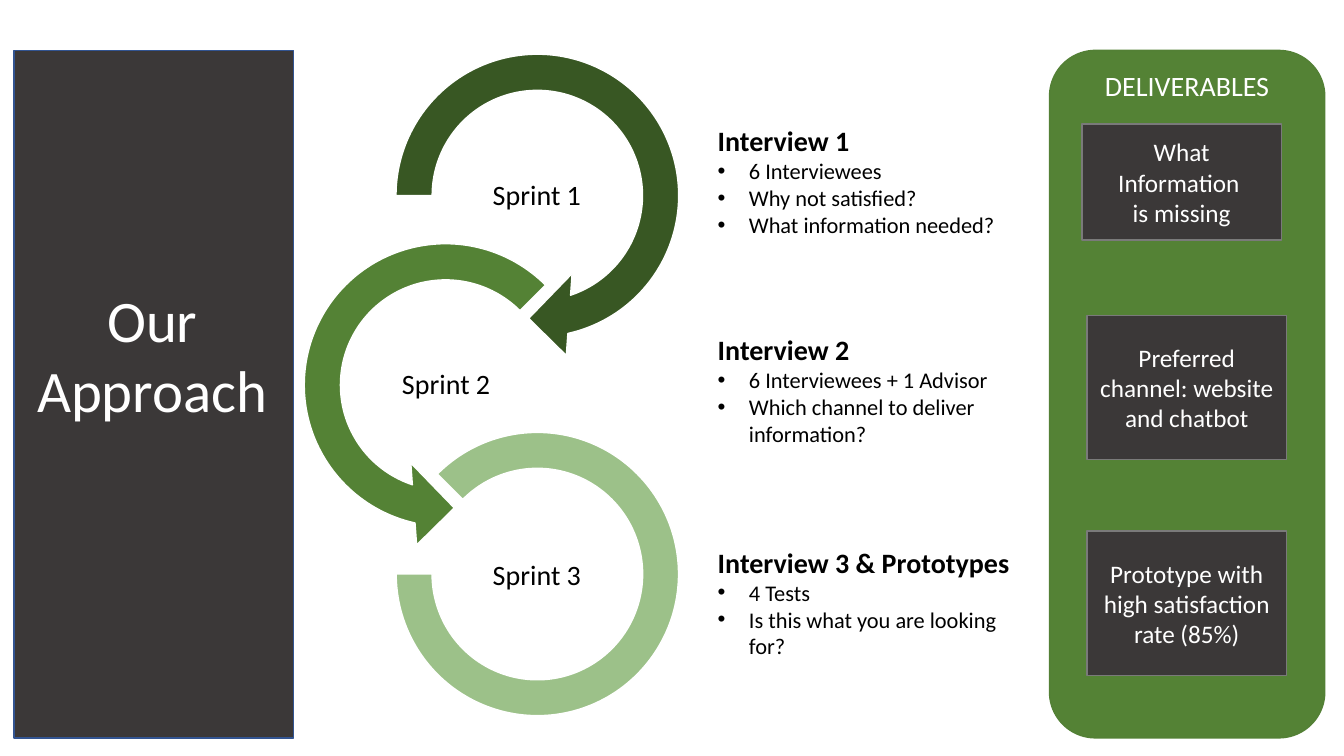
from pptx import Presentation
from pptx.dml.color import RGBColor
from pptx.enum import shapes, text
from pptx.oxml.ns import qn
from pptx.util import Inches, Pt
from lxml import etree

KIND = shapes.MSO_SHAPE
WHITE, BLACK, CHARCOAL, GREEN = "FFFFFF", "000000", "3B3838", "548235"

# Content: boxes are left, top, width, height in inches
TITLE = "Our Approach"
SPRINTS = [  # name, label left and top, arc kind, arc box, adjustments, colour
    ("Sprint 1", (4.42, 1.49), KIND.CIRCULAR_ARROW, (3.7, 0.31, 3.26, 3.26),
     (0.11, 11.42, 45, 108, 0.125), "385723"),
    ("Sprint 2", (3.52, 3.37), KIND.LEFT_CIRCULAR_ARROW, (2.79, 2.19, 3.26, 3.26),
     (0.11, 11.42, 63, 189, 0.125), GREEN),
    ("Sprint 3", (4.42, 5.26), KIND.BLOCK_ARC, (3.93, 4.29, 2.8, 2.81),
     (135, 108, 0.127), "9CC189"),
]
INTERVIEWS = [  # heading, box, points
    ("Interview 1", (7.02, 1.18, 2.96, 1.25),
     ["6 Interviewees", "Why not satisfied?", "What information needed?"]),
    ("Interview 2", (7.02, 3.25, 2.91, 1.58),
     ["6 Interviewees + 1 Advisor", "Which channel to deliver information?"]),
    ("Interview 3 & Prototypes", (7.02, 5.36, 3.25, 1.25),
     ["4 Tests", "Is this what you are looking for?"]),
]
DELIVERABLES = [  # lines, box
    (["What Information ", "is missing"], (10.73, 1.23, 1.98, 1.15)),
    (["Preferred channel: website and chatbot"], (10.78, 3.13, 1.98, 1.43)),
    (["Prototype with high satisfaction rate (85%)"], (10.78, 5.27, 1.98, 1.43)),
]
CENTRED = {"alignment": text.PP_ALIGN.CENTER}
TOP, MIDDLE = text.MSO_ANCHOR.TOP, text.MSO_ANCHOR.MIDDLE


def rgb(colour):
    return RGBColor.from_string(colour)


def inches(box):
    return [Inches(length) for length in box]


def apply(target, values):
    for name, value in values.items():
        setattr(target, name, value)


def write(paragraph, words, size, colour, bold=False, **layout):
    run = paragraph.add_run()
    run.text = words
    apply(run.font, {"name": "Calibri", "size": Pt(size), "bold": bold})
    run.font.color.rgb = rgb(colour)
    apply(paragraph, layout)


def fill_frame(frame, lines, size, colour, anchor=MIDDLE, **layout):
    apply(frame, {"word_wrap": True, "vertical_anchor": anchor})
    for number, line in enumerate(lines):
        paragraph = frame.add_paragraph() if number else frame.paragraphs[0]
        write(paragraph, line, size, colour, **layout)


def draw(kind, box, fill, line, adjustments=()):
    shape = slide.shapes.add_shape(kind, *inches(box))
    shape.shadow.inherit = False
    shape.fill.solid()
    shape.fill.fore_color.rgb = rgb(fill)
    shape.line.color.rgb = rgb(line)
    shape.line.width = Pt(1)
    for number, value in enumerate(adjustments):
        shape.adjustments[number] = value
    return shape


def add_bullet(paragraph):
    properties = paragraph._p.get_or_add_pPr()
    indent = Inches(0.31)
    properties.set("marL", str(indent))
    properties.set("indent", str(-indent))
    etree.SubElement(properties, qn("a:buFont")).set("typeface", "Arial")
    etree.SubElement(properties, qn("a:buChar")).set("char", "•")


deck = Presentation()
deck.slide_width, deck.slide_height = Inches(13.33), Inches(7.5)
slide = deck.slides.add_slide(deck.slide_layouts[5])

# Sprint cycle
for name, corner, kind, box, adjustments, colour in SPRINTS:
    draw(kind, box, colour, WHITE, adjustments)
    label = slide.shapes.add_textbox(*inches(corner + (1.81, 0.91))).text_frame
    margins = ("margin_left", "margin_top", "margin_right", "margin_bottom")
    apply(label, dict.fromkeys(margins, Inches(0.01)))
    fill_frame(label, [name], 20, BLACK, line_spacing=0.9, **CENTRED)

# Deliverables panel
panel = draw(KIND.ROUNDED_RECTANGLE, (10.41, 0.5, 2.73, 6.82), GREEN, "538035")
fill_frame(panel.text_frame, ["DELIVERABLES"], 20, WHITE, TOP, **CENTRED)

# Interviews
for heading, box, points in INTERVIEWS:
    notes = slide.shapes.add_textbox(*inches(box)).text_frame
    notes.word_wrap = True
    write(notes.paragraphs[0], heading, 20, BLACK, bold=True)
    for point in points:
        bullet = notes.add_paragraph()
        write(bullet, point, 16, BLACK)
        add_bullet(bullet)

# Deliverable cards
for lines, box in DELIVERABLES:
    card = draw(KIND.RECTANGLE, box, CHARCOAL, "7A7A7A")
    fill_frame(card.text_frame, lines, 18, WHITE, **CENTRED)

# Title on its side panel, brought to the front
draw(KIND.RECTANGLE, (0.14, 0.5, 2.77, 6.82), CHARCOAL, "325491")
title = slide.shapes.title
apply(title, dict(zip(("left", "top", "width", "height"), inches((0.14, 2.76, 2.74, 1.51)))))
title.text_frame.auto_size = text.MSO_AUTO_SIZE.NONE
fill_frame(title.text_frame, [TITLE], 42, WHITE, TOP, line_spacing=1.0, **CENTRED)
slide.shapes._spTree.append(title._element)

deck.save("out.pptx")
